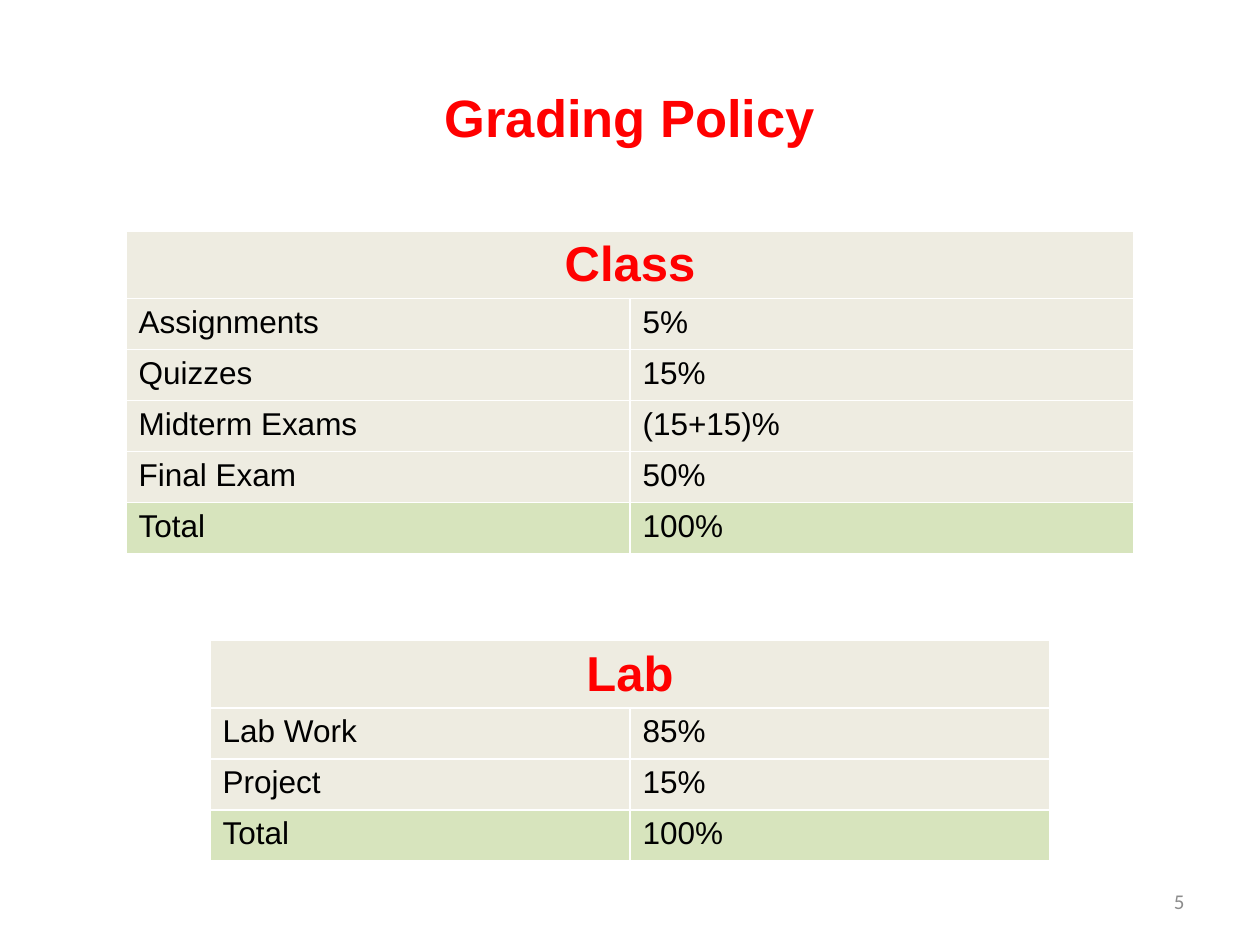
from pptx import Presentation
from pptx.dml.color import RGBColor
from pptx.enum.text import MSO_ANCHOR, PP_ALIGN
from pptx.util import Pt

RED = RGBColor(0xFF, 0x00, 0x00)
BLACK = RGBColor(0x00, 0x00, 0x00)
GRAY = RGBColor(0x8C, 0x8C, 0x8C)
CREAM = RGBColor(0xEE, 0xEC, 0xE1)
GREEN = RGBColor(0xD7, 0xE4, 0xBD)
LEFT, CENTER, RIGHT = PP_ALIGN.LEFT, PP_ALIGN.CENTER, PP_ALIGN.RIGHT
MIDDLE = MSO_ANCHOR.MIDDLE

PAGE_WIDTH, PAGE_HEIGHT = 720, 540
HEADER_HEIGHT, ROW_HEIGHT = 38, 29.2

CLASS_GRADES = [
    ("Assignments", "5%"),
    ("Quizzes", "15%"),
    ("Midterm Exams", "(15+15)%"),
    ("Final Exam", "50%"),
    ("Total", "100%"),
]
LAB_GRADES = [("Lab Work", "85%"), ("Project", "15%"), ("Total", "100%")]


def write_text(frame, text, size, color, align=LEFT, bold=False, font="Arial"):
    para = frame.paragraphs[0]
    para.text = text
    para.alignment = align
    span = para.runs[0]
    span.font.name = font
    span.font.size = Pt(size)
    span.font.bold = bold
    span.font.color.rgb = color


def fill_cell(cell, color):
    cell.fill.solid()
    cell.fill.fore_color.rgb = color


def add_title(page, text):
    title = page.shapes.title
    title.left, title.top = Pt(36), Pt(21.6)
    title.width, title.height = Pt(648), Pt(90)
    title.text_frame.vertical_anchor = MIDDLE
    write_text(title.text_frame, text, 30, RED, CENTER, True)


def add_grade_table(page, heading, grades, top, width):
    height = HEADER_HEIGHT + ROW_HEIGHT * len(grades)
    left = (PAGE_WIDTH - width) / 2
    table = page.shapes.add_table(
        len(grades) + 1, 2, Pt(left), Pt(top), Pt(width), Pt(height)
    ).table
    table.horz_banding = False
    for row in table.rows:
        row.height = Pt(ROW_HEIGHT)
    table.rows[0].height = Pt(HEADER_HEIGHT)

    header = table.cell(0, 0)
    header.merge(table.cell(0, 1))
    fill_cell(header, CREAM)
    write_text(header.text_frame, heading, 28, RED, CENTER, True)

    for row_index, grade in enumerate(grades, start=1):
        color = GREEN if row_index == len(grades) else CREAM
        for column_index, text in enumerate(grade):
            cell = table.cell(row_index, column_index)
            fill_cell(cell, color)
            write_text(cell.text_frame, text, 18, BLACK)


def add_page_number(page, number):
    box = page.shapes.add_textbox(Pt(516), Pt(500.5), Pt(168), Pt(28.75))
    box.text_frame.word_wrap = True
    box.text_frame.vertical_anchor = MIDDLE
    write_text(box.text_frame, number, 12, GRAY, RIGHT, font="Calibri")


def main():
    deck = Presentation()
    deck.slide_width, deck.slide_height = Pt(PAGE_WIDTH), Pt(PAGE_HEIGHT)
    page = deck.slides.add_slide(deck.slide_layouts[5])
    add_title(page, "Grading Policy")
    add_grade_table(page, "Class", CLASS_GRADES, 132, 576)
    add_grade_table(page, "Lab", LAB_GRADES, 366, 480)
    add_page_number(page, "5")
    deck.save("out.pptx")


if __name__ == "__main__":
    main()
